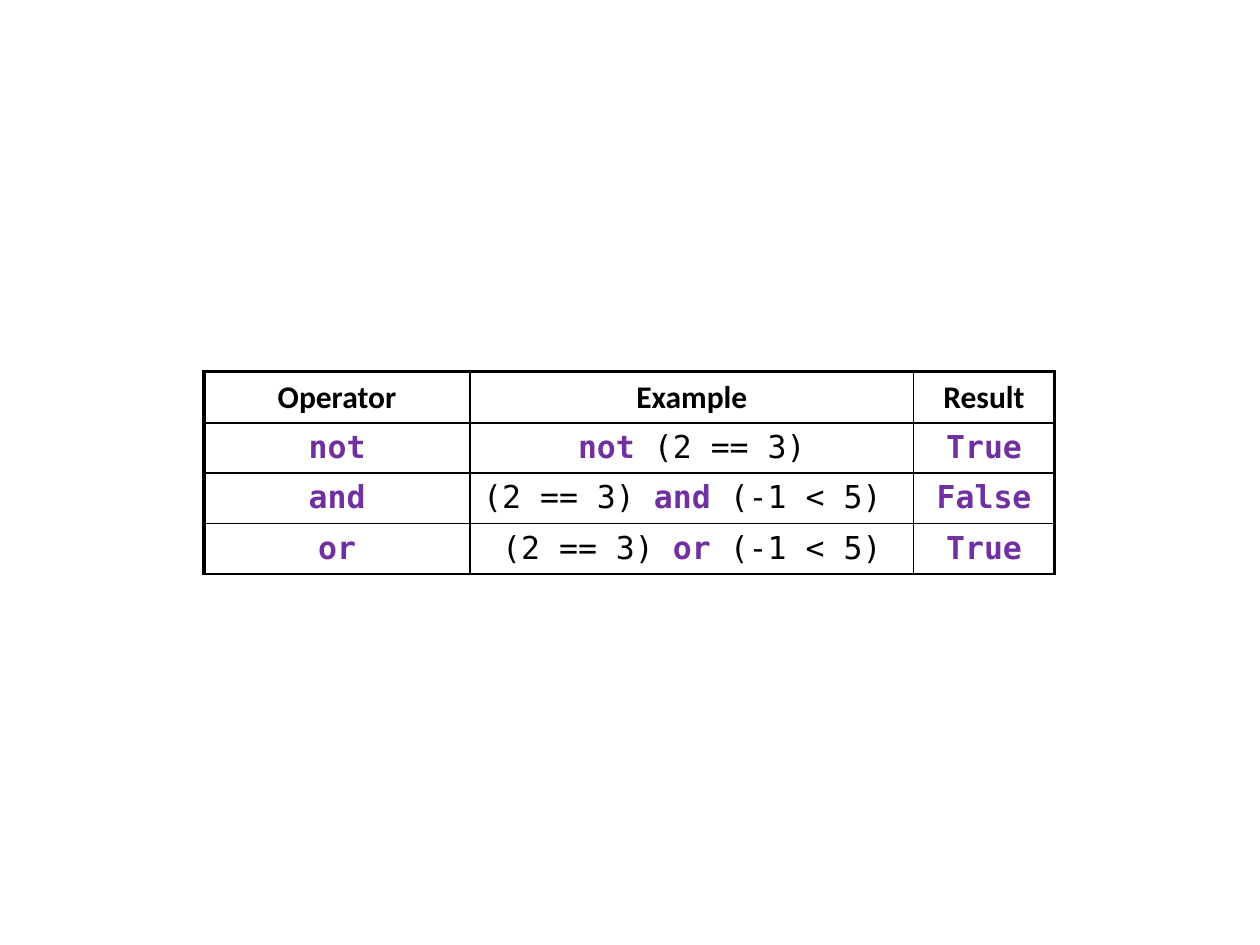
from typing import NamedTuple

from lxml.etree import SubElement
from pptx import Presentation
from pptx.dml.color import RGBColor
from pptx.enum.text import PP_ALIGN as Align
from pptx.oxml.ns import qn
from pptx.util import Pt

BLACK = RGBColor(0x00, 0x00, 0x00)
PURPLE = RGBColor(0x70, 0x30, 0xA0)
HEAD_FONT = "Calibri"
CODE_FONT = "DejaVu Sans Mono"
WIDTHS = (152, 253.5, 80.5)
HEIGHT = 28.8
THIN, THICK = 1, 2.25


class Part(NamedTuple):
    text: str
    bold: bool = False
    color: RGBColor = BLACK


class Row(NamedTuple):
    font: str
    cells: tuple[tuple[Part, ...], ...]


def word(text: str) -> Part:
    return Part(text, True, PURPLE)


def title(text: str) -> tuple[Part, ...]:
    return (Part(text, True),)


def code(name: str, result: str, before: str, after: str) -> Row:
    parts = (Part(before), word(name), Part(after))
    example = tuple(part for part in parts if part.text)
    return Row(CODE_FONT, ((word(name),), example, (word(result),)))


ROWS = (
    Row(HEAD_FONT, (title("Operator"), title("Example"), title("Result"))),
    code("not", "True", "", " (2 == 3)"),
    code("and", "False", "(2 == 3) ", " (-1 < 5) "),
    code("or", "True", "(2 == 3) ", " (-1 < 5)"),
)


def add_edge(cell, side: str, width: float) -> None:
    props = cell._tc.get_or_add_tcPr()
    line = SubElement(props, qn(f"a:ln{side}"), w=str(Pt(width)))
    fill = SubElement(line, qn("a:solidFill"))
    SubElement(fill, qn("a:srgbClr"), val=str(BLACK))


def fill_cell(cell, parts: tuple[Part, ...], face: str) -> None:
    para = cell.text_frame.paragraphs[0]
    para.alignment = Align.CENTER
    para.font.name = face
    para.font.size = Pt(18)
    for part in parts:
        run = para.add_run()
        run.text = part.text
        run.font.bold = part.bold
        run.font.color.rgb = part.color


def add_grid(slide, rows: tuple[Row, ...]) -> None:
    frame = slide.shapes.add_table(
        len(rows), len(WIDTHS), Pt(116.6), Pt(212.4),
        Pt(sum(WIDTHS)), Pt(HEIGHT * len(rows)))
    table = frame.table
    table.first_row = table.horz_banding = False
    for col, width in zip(table.columns, WIDTHS):
        col.width = Pt(width)
    last = len(WIDTHS) - 1
    for y, row in enumerate(rows):
        table.rows[y].height = Pt(HEIGHT)
        for x, parts in enumerate(row.cells):
            cell = table.cell(y, x)
            fill_cell(cell, parts, row.font)
            outer = {"L": x == 0, "R": x == last, "T": y == 0, "B": False}
            for side, thick in outer.items():
                add_edge(cell, side, THICK if thick else THIN)
            cell.fill.background()


def main() -> None:
    deck = Presentation()
    deck.slide_width, deck.slide_height = Pt(720), Pt(540)
    slide = deck.slides.add_slide(deck.slide_layouts[6])
    add_grid(slide, ROWS)
    deck.save("out.pptx")


if __name__ == "__main__":
    main()
